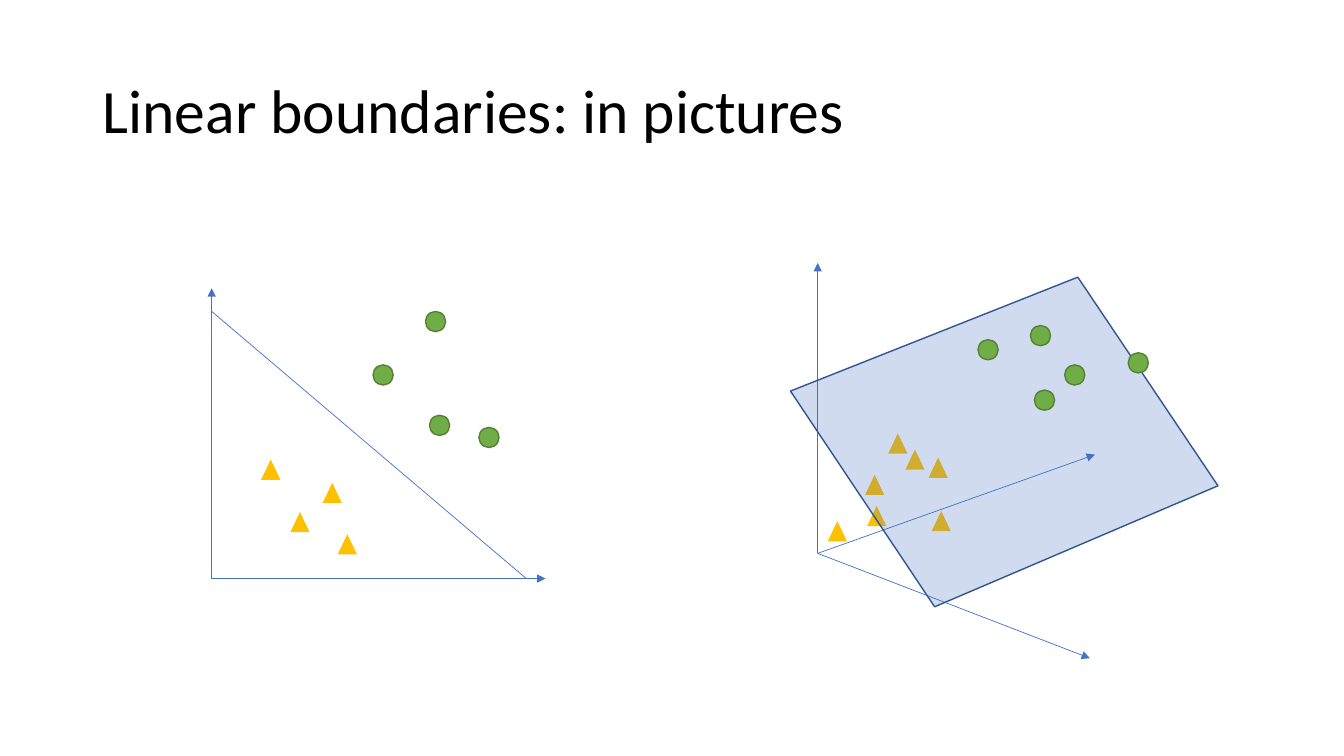
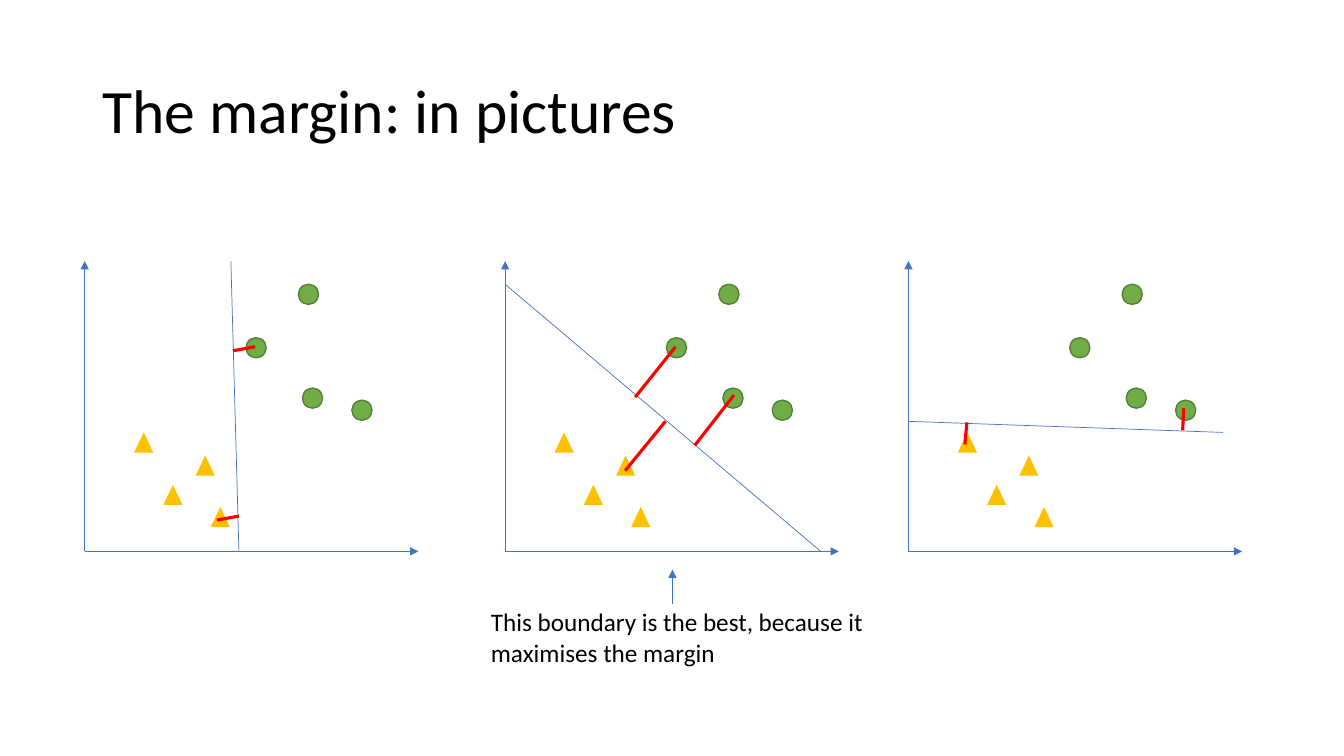
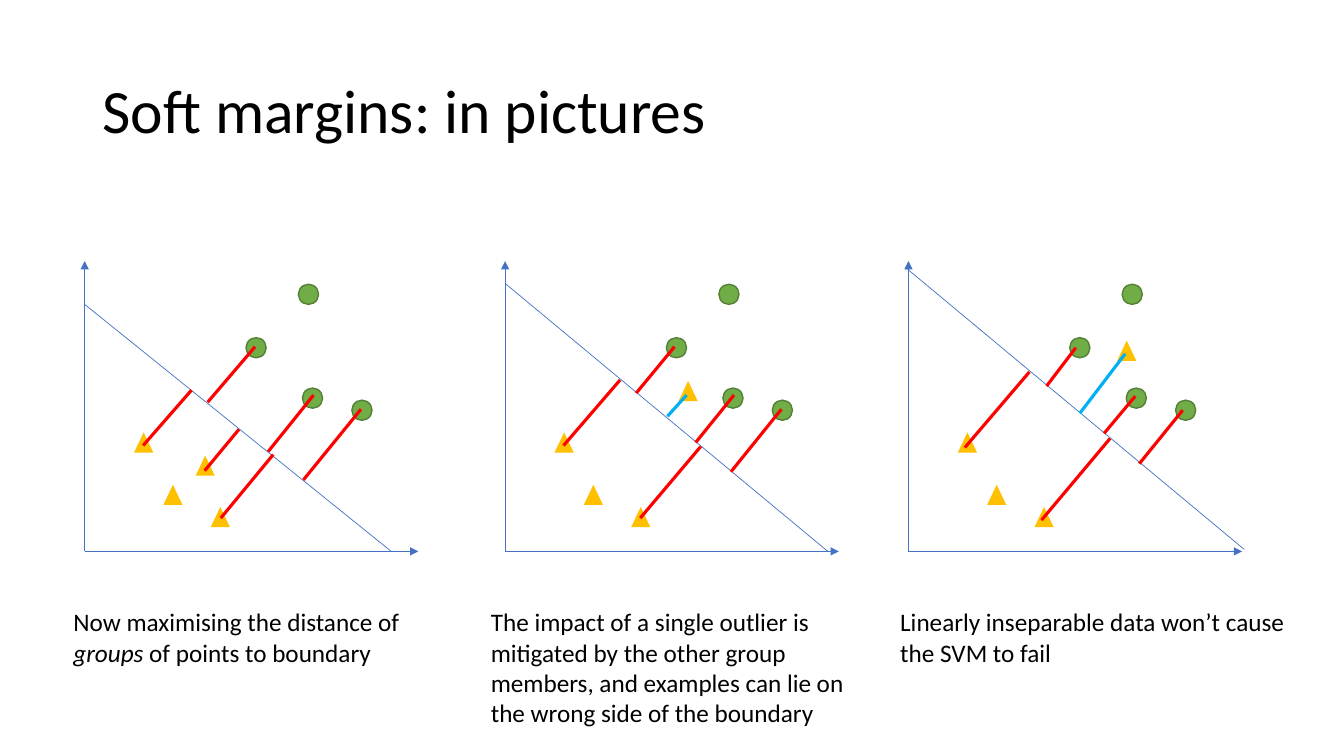
from pptx import Presentation
from pptx.dml.color import RGBColor
from pptx.enum.shapes import MSO_CONNECTOR as CONN, MSO_SHAPE as SHAPE
from pptx.enum.text import MSO_ANCHOR as ANCHOR, MSO_AUTO_SIZE as FIT
from pptx.oxml.ns import qn
from pptx.util import Emu, Pt
from lxml.etree import SubElement

PX = 9144  # 100 px to the inch
FONT = "Calibri"
BLACK, BLUE, NAVY = "000000", "4472C4", "325491"
GOLD, GREEN, MOSS = "FFC000", "70AD47", "538035"
RED, SKY = "FF0000", "00B0F0"

# Corners of the marks, measured right and up from a plot's origin
TRIS = [(49, 118), (110, 95), (78, 66), (125, 44)]
DOTS = [(212, 265), (160, 212), (216, 162), (265, 150)]
BASE = 547
LEFTS = (84, 501, 901)


def px(*nums):
    return [Emu(num * PX) for num in nums]


def rgb(code):
    return RGBColor.from_string(code)


def paint(shape, fill, edge=None):
    shape.shadow.inherit = False
    shape.fill.solid()
    shape.fill.fore_color.rgb = rgb(fill)
    if edge:
        shape.line.color.rgb = rgb(edge)
        shape.line.width = Pt(1)
    else:
        shape.line.fill.background()


def tri(slide, x, y):
    paint(slide.shapes.add_shape(SHAPE.ISOSCELES_TRIANGLE, *px(x, y, 19, 20)), GOLD)


def dot(slide, x, y):
    paint(slide.shapes.add_shape(SHAPE.OVAL, *px(x, y, 20, 20)), GREEN, MOSS)


def line(slide, ends, color=BLUE, width=0.5, arrow=False):
    conn = slide.shapes.add_connector(CONN.STRAIGHT, *px(*ends))
    conn.line.color.rgb = rgb(color)
    conn.line.width = Pt(width)
    if arrow:
        SubElement(conn.line._get_or_add_ln(), qn("a:tailEnd"), type="triangle")
    SubElement(conn._element.spPr, qn("a:effectLst"))


def plane(slide, first, *rest):
    """Draw a see-through quadrilateral through the given corners."""
    pen = slide.shapes.build_freeform(*first, scale=PX)
    pen.add_line_segments(rest, close=True)
    sheet = pen.convert_to_shape()
    paint(sheet, BLUE, NAVY)
    tint = sheet._element.spPr.find(qn("a:solidFill"))[0]
    SubElement(tint, qn("a:alpha"), val="25000")


def text(slide, box, size, *parts):
    """Add a text box; every second part is italic."""
    frame = slide.shapes.add_textbox(*px(*box)).text_frame
    frame.word_wrap = True
    para = frame.paragraphs[0]
    para.font.name = FONT
    para.font.size = Pt(size)
    para.font.color.rgb = rgb(BLACK)
    for num, part in enumerate(parts):
        run = para.add_run()
        run.text = part
        if num % 2:
            run.font.italic = True
    return frame


def page(deck, title):
    slide = deck.slides.add_slide(deck.slide_layouts[6])
    frame = text(slide, (92, 40, 1150, 145), 44, title)
    frame.vertical_anchor = ANCHOR.MIDDLE
    frame.paragraphs[0].line_spacing = 0.9
    return slide


def note(slide, left, high, *parts):
    text(slide, (left, 597, 406, high), 18, *parts).auto_size = FIT.SHAPE_TO_FIT_TEXT


def plot(slide, left, base, wall, gaps=(), stray=None, miss=None):
    """Draw a flat plot: its boundary (wall), margins (gaps), and
    a stray triangle in place of the second one, with its own gap (miss)."""
    def move(ends):
        x1, up1, x2, up2 = ends
        return left + x1, base - up1, left + x2, base - up2

    for tip in ((0, 288), (331, 0)):
        line(slide, move((0, 0, *tip)), arrow=True)
    spots = [TRIS[0], stray, *TRIS[2:]] if stray else TRIS
    for draw, marks in ((tri, spots), (dot, DOTS)):
        for x, up in marks:
            draw(slide, left + x, base - up)
    line(slide, move(wall))
    for gap in gaps:
        line(slide, move(gap), RED, 2.25)
    if miss:
        line(slide, move(miss), SKY, 2.25)


def linear(deck):
    slide = page(deck, "Linear boundaries: in pictures")
    plot(slide, 210, 574, (0, 265, 312, 0))
    for tip in ((811, 261), (1081, 653), (1086, 451)):
        line(slide, (811, 549, *tip), arrow=True)
    for spot in ((860, 502), (898, 446), (881, 430), (921, 454), (858, 471), (924, 507)):
        tri(slide, *spot)
    plane(slide, (784, 388), (1069, 275), (1208, 482), (927, 602))
    for spot in ((1022, 323), (970, 337), (1026, 387), (1056, 362), (1119, 350)):
        dot(slide, *spot)
    tri(slide, 821, 517)


def margin(deck):
    slide = page(deck, "The margin: in pictures")
    walls = [(145, 288, 153, 0), (0, 265, 313, 0), (0, 129, 312, 118)]
    gaps = [
        [(147, 199, 169, 203), (131, 31, 153, 35)],
        [(129, 153, 169, 203), (188, 105, 227, 155), (119, 80, 159, 129)],
        [(272, 120, 273, 142), (56, 106, 58, 128)],
    ]
    for left, wall, group in zip(LEFTS, walls, gaps):
        plot(slide, left, BASE, wall, group)
    note(slide, 477, 71, "This boundary is the best, because it maximises the margin")
    line(slide, (667, 599, 667, 565), arrow=True)


def soft(deck):
    slide = page(deck, "Soft margins: in pictures")
    near, mid, far = LEFTS
    plot(slide, near, BASE, (0, 245, 304, 0),
         [(122, 148, 169, 203), (182, 99, 227, 155), (119, 80, 153, 121),
          (217, 71, 274, 141), (135, 33, 187, 96), (58, 105, 106, 160)])
    plot(slide, mid, BASE, (1, 265, 320, 0),
         [(130, 157, 168, 203), (189, 108, 227, 155), (224, 79, 274, 141),
          (134, 33, 194, 104), (58, 105, 114, 170)],
         stray=(172, 169), miss=(180, 155, 161, 134))
    plot(slide, far, BASE, (-1, 280, 333, 2),
         [(137, 164, 166, 202), (194, 117, 225, 154), (229, 87, 272, 140),
          (132, 31, 200, 112), (56, 103, 120, 178)],
         stray=(207, 209), miss=(215, 196, 170, 137))
    note(slide, 63, 71, "Now maximising the distance of ", "groups",
         " of points to boundary")
    note(slide, 477, 131, "The impact of a single outlier is mitigated by the other "
         "group members, and examples can lie on the wrong side of the boundary")
    note(slide, 883, 71, "Linearly inseparable data won’t cause the SVM to fail")


def main():
    deck = Presentation()
    deck.slide_width, deck.slide_height = px(1333, 750)
    for build in (linear, margin, soft):
        build(deck)
    deck.save("out.pptx")


if __name__ == "__main__":
    main()
